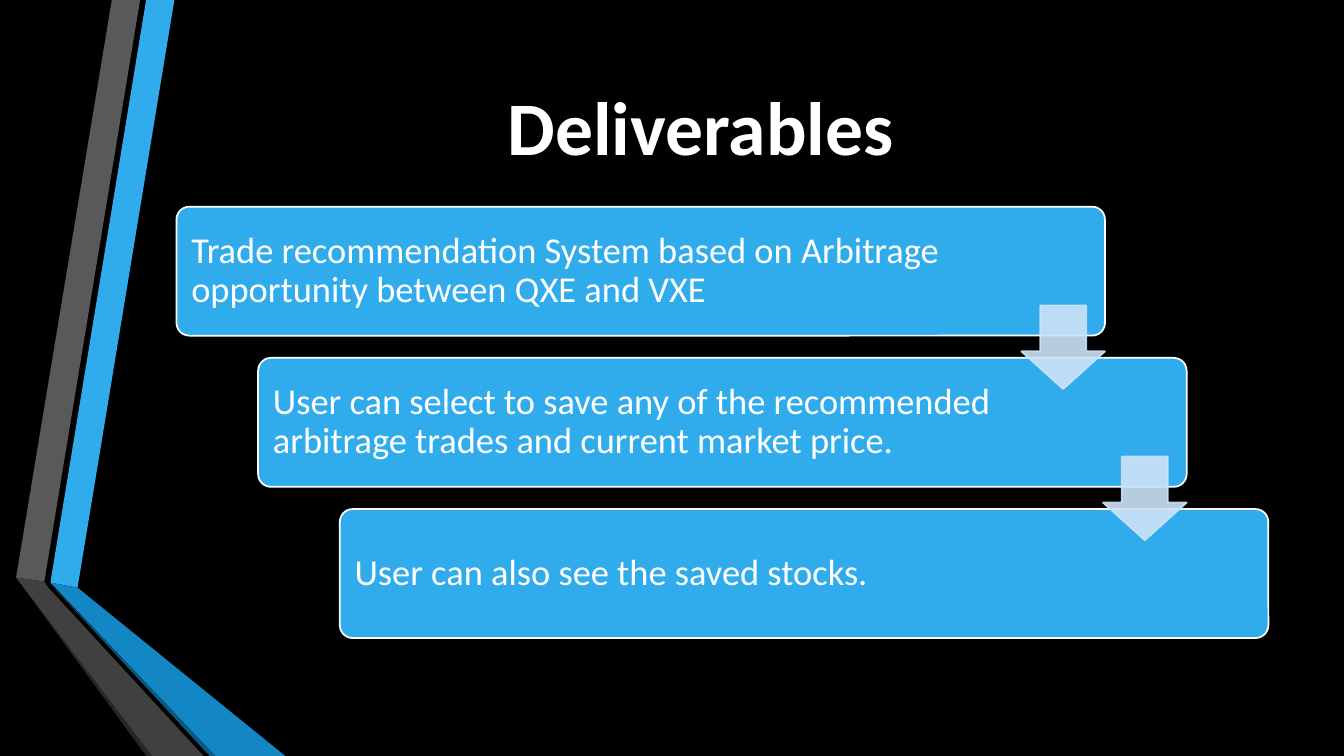
from dataclasses import dataclass
from itertools import pairwise

from lxml.etree import SubElement
from pptx import Presentation
from pptx.dml.color import RGBColor as RGB
from pptx.enum.shapes import MSO_SHAPE as Preset
from pptx.enum.text import MSO_ANCHOR as Anchor, PP_ALIGN as Align
from pptx.oxml.ns import qn
from pptx.shapes.autoshape import Shape
from pptx.shapes.shapetree import SlideShapes
from pptx.text.text import TextFrame
from pptx.util import Inches, Pt


@dataclass(frozen=True)
class Theme:
    background: str = "000000"
    text: str = "FFFFFF"
    accent: str = "30ACEC"
    accent_fold: str = "1287C3"
    accent_edge: str = "0C5A82"
    grey: str = "595959"
    grey_fold: str = "404040"
    grey_edge: str = "262626"
    arrow: str = "CDE3F8"
    font: str = "Calibri"
    title_size: float = 54
    step_size: float = 26
    outline: float = 1.25


@dataclass(frozen=True)
class Ribbon:
    color: str
    corners: tuple[tuple[float, float], ...]


@dataclass(frozen=True)
class Step:
    text: str
    left: float
    top: float


THEME = Theme()
SLIDE_W, SLIDE_H = 13.33, 7.5
STEP_W, STEP_H = 9.21, 1.28
FIRST_LEFT, FIRST_TOP = 1.75, 2.05
SHIFT_X, SHIFT_Y = 0.81, 1.5
ARROW_SIZE, ARROW_DROP = 0.83, 0.98

RIBBONS = (
    Ribbon(THEME.accent, ((0.5, 5.78), (0.77, 5.83), (1.73, 0), (1.45, 0))),
    Ribbon(THEME.grey, ((1.39, 0), (1.11, 0), (0.16, 5.73), (0.44, 5.77))),
    Ribbon(THEME.grey_edge, ((0.16, 5.73), (1.45, SLIDE_H), (1.51, SLIDE_H))),
    Ribbon(THEME.accent_edge, ((0.5, 5.79), (2.08, SLIDE_H), (2.14, SLIDE_H))),
    Ribbon(THEME.accent_fold, ((0.5, 5.78), (2.14, SLIDE_H), (2.83, SLIDE_H), (0.77, 5.83))),
    Ribbon(THEME.grey_fold, ((2.02, SLIDE_H), (0.48, 5.83), (0.44, 5.77),
                             (0.16, 5.73), (1.51, SLIDE_H))),
)
DELIVERABLES = (
    "Trade recommendation System based on Arbitrage opportunity between QXE and VXE",
    "User can select to save any of the recommended arbitrage trades and current market price.",
    "User can also see the saved stocks.",
)


def paint(shape: Shape, fill: str, line: str | None = None) -> None:
    shape.shadow.inherit = False
    shape.fill.solid()
    shape.fill.fore_color.rgb = RGB.from_string(fill)
    if line is None:
        shape.line.fill.background()
    else:
        shape.line.color.rgb = RGB.from_string(line)
        shape.line.width = Pt(THEME.outline)


def set_opacity(shape: Shape, percent: int) -> None:
    """Make both the fill and the outline of a shape translucent."""
    for color in shape.element.spPr.iter(qn("a:srgbClr")):
        SubElement(color, qn("a:alpha"), val=str(percent * 1000))


def write_text(frame: TextFrame, text: str, *, size: float, bold: bool = False,
               align: Align = Align.LEFT, line_spacing: float = 1.0,
               margins: tuple[float, float, float, float] = (0.1, 0.05, 0.1, 0.05)) -> None:
    """Fill a frame with one paragraph; margins are left, top, right, bottom."""
    frame.word_wrap = True
    frame.vertical_anchor = Anchor.MIDDLE
    (frame.margin_left, frame.margin_top,
     frame.margin_right, frame.margin_bottom) = map(Inches, margins)
    paragraph = frame.paragraphs[0]
    paragraph.alignment = align
    paragraph.line_spacing = line_spacing
    run = paragraph.add_run()
    run.text = text
    run.font.name = THEME.font
    run.font.size = Pt(size)
    run.font.bold = bold
    run.font.color.rgb = RGB.from_string(THEME.text)


def draw_ribbon(shapes: SlideShapes, ribbon: Ribbon) -> None:
    start, *others = [(Inches(x), Inches(y)) for x, y in ribbon.corners]
    outline = shapes.build_freeform(*start)
    outline.add_line_segments(others, close=True)
    paint(outline.convert_to_shape(), ribbon.color)


def draw_title(shapes: SlideShapes, text: str) -> None:
    title = shapes.add_textbox(Inches(1.47), Inches(0.28), Inches(10.96), Inches(1.92))
    write_text(title.text_frame, text, size=THEME.title_size, bold=True, align=Align.CENTER)


def draw_step(shapes: SlideShapes, step: Step) -> None:
    card = shapes.add_shape(Preset.ROUNDED_RECTANGLE, Inches(step.left), Inches(step.top),
                            Inches(STEP_W), Inches(STEP_H))
    card.adjustments[0] = 0.1
    paint(card, THEME.accent, THEME.text)
    write_text(card.text_frame, step.text, size=THEME.step_size, line_spacing=0.9,
               margins=(0.11, 0.15, 1.5, 0.15))


def draw_arrow(shapes: SlideShapes, step: Step) -> None:
    """Place a down arrow flush with the right edge of a step, reaching into the next."""
    arrow = shapes.add_shape(Preset.DOWN_ARROW, Inches(step.left + STEP_W - ARROW_SIZE),
                             Inches(step.top + ARROW_DROP),
                             Inches(ARROW_SIZE), Inches(ARROW_SIZE))
    arrow.adjustments[0] = 0.55
    arrow.adjustments[1] = 0.45
    paint(arrow, THEME.arrow, THEME.arrow)
    set_opacity(arrow, 90)


def main() -> None:
    deck = Presentation()
    deck.slide_width, deck.slide_height = Inches(SLIDE_W), Inches(SLIDE_H)
    slide = deck.slides.add_slide(deck.slide_layouts[6])
    slide.background.fill.solid()
    slide.background.fill.fore_color.rgb = RGB.from_string(THEME.background)

    for ribbon in RIBBONS:
        draw_ribbon(slide.shapes, ribbon)
    draw_title(slide.shapes, "Deliverables")

    steps = [Step(text, FIRST_LEFT + i * SHIFT_X, FIRST_TOP + i * SHIFT_Y)
             for i, text in enumerate(DELIVERABLES)]
    for step in steps:
        draw_step(slide.shapes, step)
    for upper, _ in pairwise(steps):
        draw_arrow(slide.shapes, upper)

    deck.save("out.pptx")


if __name__ == "__main__":
    main()
